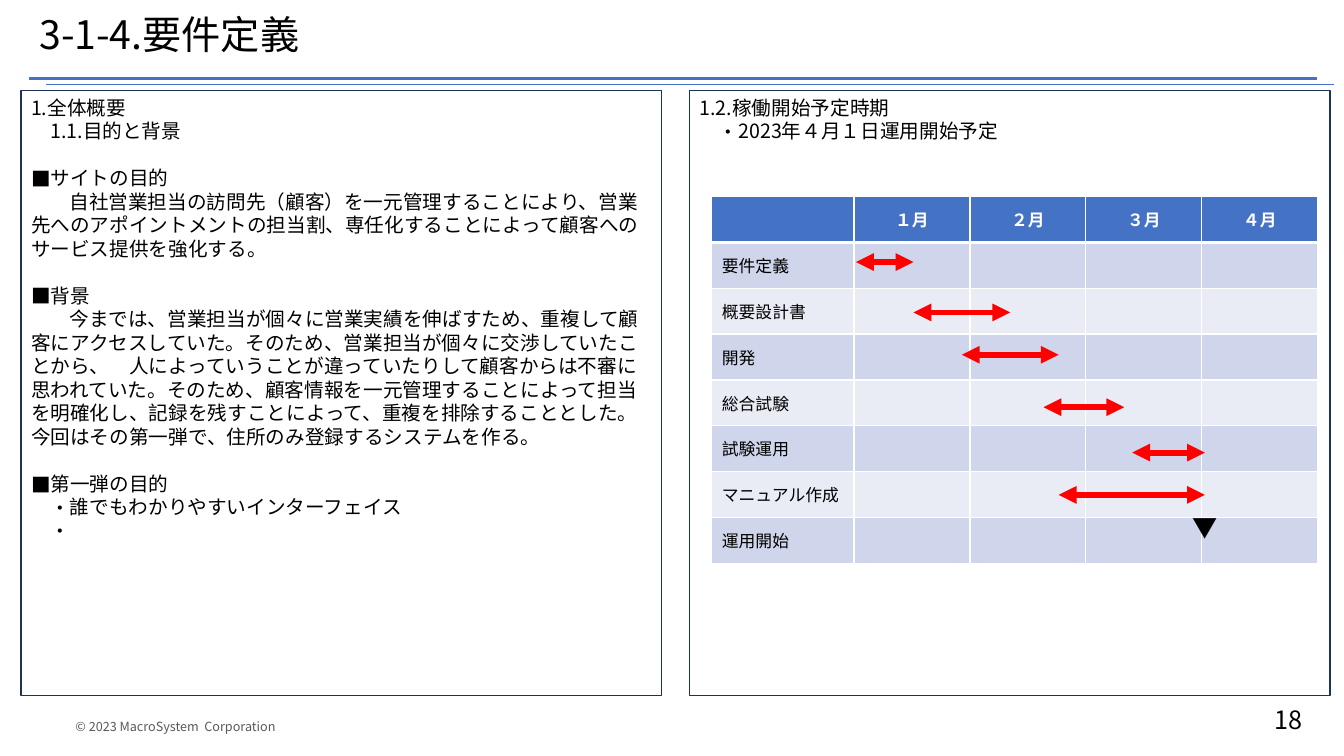
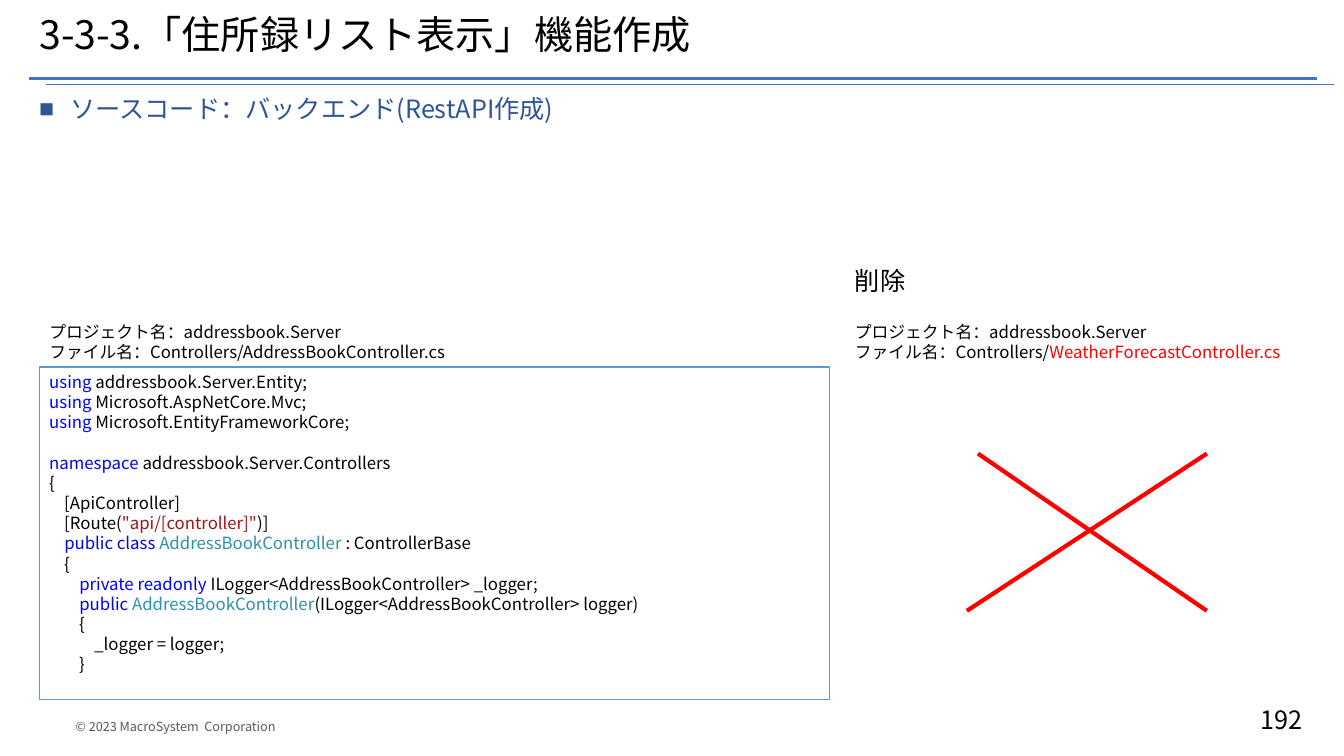
from dataclasses import dataclass
from typing import NamedTuple

from lxml import etree
from pptx import Presentation
from pptx import util as u
from pptx.dml.color import RGBColor
from pptx.enum import shapes, text
from pptx.oxml import ns


@dataclass(frozen=True)
class Theme:
    font: str = "Noto Sans CJK JP"
    ink: str = "000000"
    white: str = "FFFFFF"
    grey: str = "595959"
    blue: str = "4472C4"
    navy: str = "1E3256"
    head: str = "2F5597"
    frame: str = "5B9BD5"
    red: str = "FF0000"
    bands: tuple[str, str] = ("CFD5EA", "E9EBF5")
    key: str = "0000FF"
    quote: str = "A31515"
    kind: str = "2B91AF"
    title: int = 28
    lead: int = 18
    body: int = 14
    small: int = 12
    foot: int = 9


T = Theme()


class Rect(NamedTuple):
    left: float
    top: float
    width: float
    height: float


class Run(NamedTuple):
    text: str
    color: str = T.ink


class Para(NamedTuple):
    runs: tuple[Run, ...]
    left: float = 0
    first: float = 0
    gap: float = 0
    bullet: str = ""
    scale: int = 100


class Line(NamedTuple):
    x1: float
    y1: float
    x2: float
    y2: float


EM = 0.19       # one full-width character of body text, in inches
SKIP = 16.7     # one line of body text, in points
BREAK = 14.4    # one line of code, in points


def plain(words: str, **style) -> Para:
    return Para((Run(words),), **style)


def code(*runs: Run, gap: float = 0) -> Para:
    return Para(runs, gap=gap)


def topic(words: str) -> Para:
    return plain(words, left=EM, first=-EM, gap=SKIP, bullet="■")


def item(words: str) -> Para:
    return plain(words, left=2 * EM, first=-EM, bullet="・")


def tag(parent, name: str, **attrs):
    return etree.SubElement(parent, ns.qn(name), attrs)


def style(run, size: int, color: str, bold: bool = False) -> None:
    run.font.size = u.Pt(size)
    run.font.bold = bold
    run.font.color.rgb = RGBColor.from_string(color)
    run.font.name = T.font
    tag(run.font._element, "a:ea", typeface=T.font)


def place(shape, rect: Rect) -> None:
    shape.left, shape.top, shape.width, shape.height = map(u.Inches, rect)


def write(frame, paras: list[Para], size: int, wrap: bool = True,
          align=text.PP_ALIGN.LEFT) -> None:
    frame.word_wrap = wrap
    frame.vertical_anchor = text.MSO_ANCHOR.TOP
    for n, para in enumerate(paras):
        p = frame.paragraphs[0] if n == 0 else frame.add_paragraph()
        p.alignment = align
        if para.left or para.first:
            props = p._p.get_or_add_pPr()
            props.set("marL", str(u.Inches(para.left)))
            props.set("indent", str(u.Inches(para.first)))
        if para.bullet:
            tag(props, "a:buSzPct", val=str(para.scale * 1000))
            tag(props, "a:buFont", typeface=T.font)
            tag(props, "a:buChar", char=para.bullet)
        if para.gap:
            p.space_before = u.Pt(para.gap)
        for part in para.runs:
            run = p.add_run()
            run.text = part.text
            style(run, size, part.color)


def label(slide, rect: Rect, paras: list[Para], size: int, wrap: bool = False,
          align=text.PP_ALIGN.LEFT) -> None:
    box = slide.shapes.add_textbox(*map(u.Inches, rect))
    write(box.text_frame, paras, size, wrap, align)


def panel(slide, rect: Rect, edge: str, paras: list[Para], size: int) -> None:
    box = slide.shapes.add_shape(shapes.MSO_SHAPE.RECTANGLE, *map(u.Inches, rect))
    box.shadow.inherit = False
    box.fill.solid()
    box.fill.fore_color.rgb = RGBColor.from_string(T.white)
    box.line.color.rgb = RGBColor.from_string(edge)
    box.line.width = u.Pt(1)
    write(box.text_frame, paras, size)


def stroke(slide, line: Line, color: str, width: float, arrows: bool = False) -> None:
    link = slide.shapes.add_connector(shapes.MSO_CONNECTOR.STRAIGHT, *map(u.Inches, line))
    link.line.color.rgb = RGBColor.from_string(color)
    link.line.width = u.Pt(width)
    if arrows:
        for end in ("a:headEnd", "a:tailEnd"):
            tag(link.get_or_add_ln(), end, type="triangle")
    tag(link._element.spPr, "a:effectLst")


def start(deck, title: str, number: int):
    """Add a slide with the title, rules and footer that all slides share."""
    slide = deck.slides.add_slide(deck.slide_layouts[5])
    label(slide, Rect(0.65, 7.08, 3.79, 0.25),
          [Para((Run("© 2023 MacroSystem  Corporation", T.grey),))], T.foot, True)
    stroke(slide, Line(0.29, 0.78, 13.06, 0.78), T.blue, 1.75)
    stroke(slide, Line(0.46, 0.84, 13.23, 0.84), T.blue, 1)
    label(slide, Rect(11.14, 6.94, 1.88, 0.4), [plain(str(number))], T.lead, True,
          text.PP_ALIGN.RIGHT)
    head = slide.shapes.title
    place(head, Rect(0.29, 0, 12.77, 0.73))
    frame = head.text_frame
    write(frame, [plain(title)], T.title)
    frame.auto_size = text.MSO_AUTO_SIZE.NONE
    frame.vertical_anchor = text.MSO_ANCHOR.MIDDLE
    frame.paragraphs[0].line_spacing = 0.9
    return slide


def border(cell, below: float) -> None:
    """Draw white cell edges, the lower one as wide as given."""
    props = cell._tc.get_or_add_tcPr()
    for side, width in (("L", 1), ("R", 1), ("T", 1), ("B", below)):
        edge = tag(props, f"a:ln{side}", w=str(u.Pt(width)))
        tag(tag(edge, "a:solidFill"), "a:srgbClr", val=T.white)


def chart(slide, months: list[str], tasks: list[str]) -> None:
    """Draw the schedule grid."""
    rows = [["", *months]] + [[task] + [""] * len(months) for task in tasks]
    rect = Rect(7.06, 1.95, 6.01, 3.64)
    grid = slide.shapes.add_table(len(rows), len(rows[0]), *map(u.Inches, rect)).table
    for n, col in enumerate(grid.columns):
        col.width = u.Inches(1.15 if n else 1.41)
    for r, row in enumerate(rows):
        top = r == 0
        for c, words in enumerate(row):
            cell = grid.cell(r, c)
            border(cell, 3 if top else 1)
            cell.fill.solid()
            cell.fill.fore_color.rgb = RGBColor.from_string(
                T.blue if top else T.bands[(r - 1) % 2])
            cell.vertical_anchor = text.MSO_ANCHOR.MIDDLE
            cell.text_frame.text = words
            p = cell.text_frame.paragraphs[0]
            p.alignment = text.PP_ALIGN.CENTER if top else text.PP_ALIGN.LEFT
            for run in p.runs:
                style(run, T.small, T.white if top else T.ink, top)


def scope(deck) -> None:
    slide = start(deck, "3-1-4.要件定義", 18)
    aims = [
        plain("1.全体概要"),
        plain("1.1.目的と背景", left=EM),
        topic("サイトの目的"),
        plain("自社営業担当の訪問先（顧客）を一元管理することにより、営業先へのアポイントメントの"
              "担当割、専任化することによって顧客へのサービス提供を強化する。", first=2 * EM),
        topic("背景"),
        plain("今までは、営業担当が個々に営業実績を伸ばすため、重複して顧客にアクセスしていた。"
              "そのため、営業担当が個々に交渉していたことから、　人によっていうことが違っていたり"
              "して顧客からは不審に思われていた。そのため、顧客情報を一元管理することによって担当を"
              "明確化し、記録を残すことによって、重複を排除することとした。", first=2 * EM),
        plain("今回はその第一弾で、住所のみ登録するシステムを作る。"),
        topic("第一弾の目的"),
        item("誰でもわかりやすいインターフェイス"),
        plain("・", left=EM),
    ]
    dates = [plain("1.2.稼働開始予定時期"), item("2023年４月１日運用開始予定")]
    for left, paras in ((0.21, aims), (6.84, dates)):
        panel(slide, Rect(left, 0.9, 6.35, 6), T.navy, paras, T.body)

    chart(slide, ["１月", "２月", "３月", "４月"],
          ["要件定義", "概要設計書", "開発", "総合試験", "試験運用", "マニュアル作成", "運用開始"])
    label(slide, Rect(11.73, 5.03, 0.45, 0.4), [plain("▼")], T.lead)
    spans = [(8.49, 9.06, 2.6), (9.06, 10.02, 3.1), (9.54, 10.5, 3.52),
             (10.35, 11.15, 4.04), (11.23, 11.95, 4.49), (10.5, 11.95, 4.91)]
    for begin, end, y in spans:
        stroke(slide, Line(begin, y, end, y), T.red, 4.25, True)


def source(deck) -> None:
    slide = start(deck, "3-3-3.「住所録リスト表示」機能作成", 192)
    lead = Para((Run("ソースコード：バックエンド(RestAPI作成)", T.head),),
                left=0.31, first=-0.31, bullet="■", scale=60)
    label(slide, Rect(0.29, 0.88, 12.73, 0.41), [lead], T.lead, True)

    using = Run("using", T.key)
    owner = Run("AddressBookController", T.kind)
    lines = [
        code(using, Run(" addressbook.Server.Entity;")),
        code(using, Run(" Microsoft.AspNetCore.Mvc;")),
        code(using, Run(" Microsoft.EntityFrameworkCore;")),
        code(Run("namespace", T.key), Run(" addressbook.Server.Controllers"), gap=BREAK),
        plain("{"),
        plain("    [ApiController]"),
        code(Run("    [Route("), Run('"api/[controller]"', T.quote), Run(")]")),
        code(Run("    "), Run("public class ", T.key), owner, Run(" : ControllerBase")),
        plain("    {"),
        code(Run("        "), Run("private readonly", T.key),
             Run(" ILogger<AddressBookController> _logger;")),
        code(Run("        "), Run("public ", T.key), owner,
             Run("(ILogger<AddressBookController> logger)")),
        plain("        {"),
        plain("            _logger = logger;"),
        plain("        }"),
    ]
    panel(slide, Rect(0.39, 3.64, 7.84, 3.3), T.frame, lines, T.small)

    project = plain("プロジェクト名：addressbook.Server")
    folder = "ファイル名：Controllers/"
    label(slide, Rect(0.39, 3.14, 4.59, 0.5),
          [project, plain(folder + "AddressBookController.cs")], T.small)
    label(slide, Rect(8.38, 3.14, 4.96, 0.5),
          [project, Para((Run(folder), Run("WeatherForecastController.cs", T.red)))], T.small)
    label(slide, Rect(8.38, 2.58, 0.71, 0.4), [plain("削除")], T.lead)
    for line in (Line(9.7, 4.5, 11.97, 6.06), Line(9.59, 6.06, 11.97, 4.5)):
        stroke(slide, line, T.red, 3)


def main() -> None:
    deck = Presentation()
    deck.slide_width, deck.slide_height = u.Inches(13.33), u.Inches(7.5)
    scope(deck)
    source(deck)
    deck.save("out.pptx")


if __name__ == "__main__":
    main()
